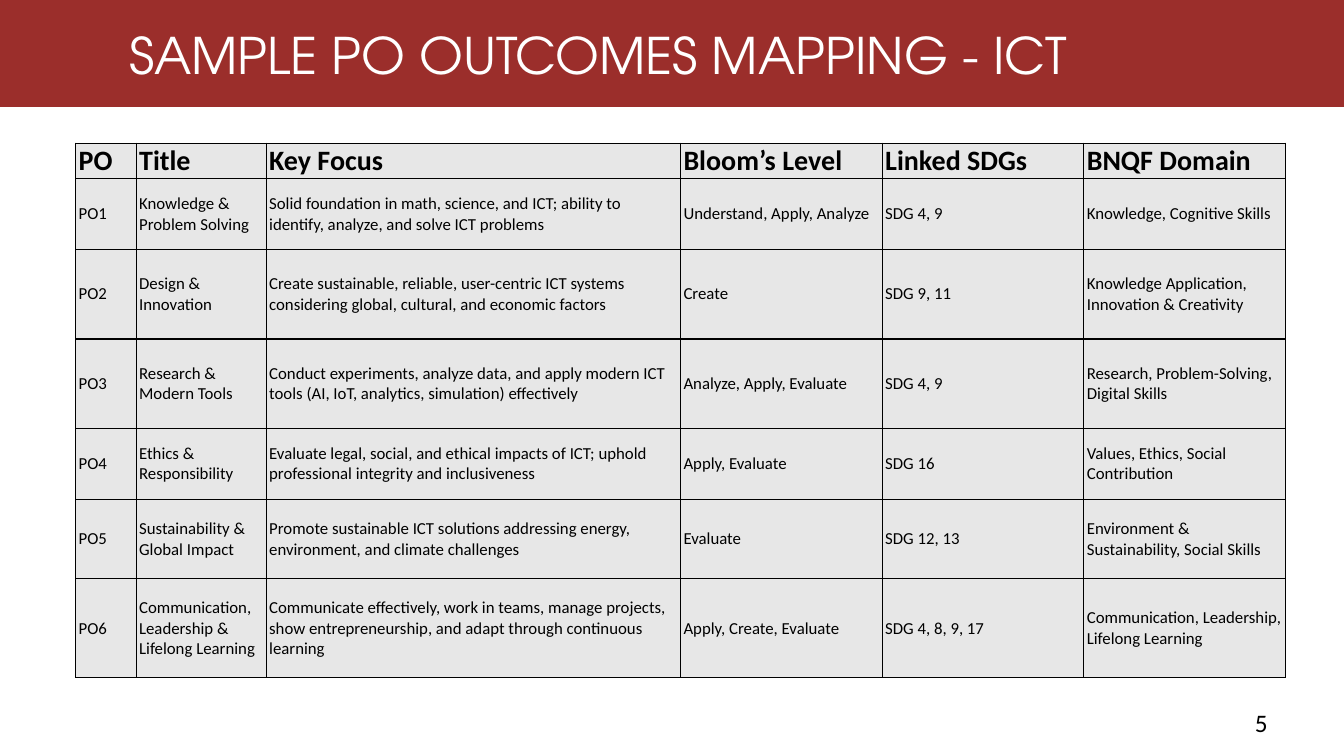
from lxml.etree import SubElement as Sub
from pptx import Presentation
from pptx.dml.color import RGBColor
from pptx.enum.shapes import MSO_SHAPE as Shape
from pptx.enum.text import MSO_ANCHOR as Anchor, MSO_AUTO_SIZE as Fit, PP_ALIGN as Align
from pptx.oxml.ns import qn
from pptx.util import Inches, Pt

RED = RGBColor(0x9B, 0x2E, 0x2B)
GREY = RGBColor(0xE7, 0xE7, 0xE7)
WHITE = RGBColor(0xFF, 0xFF, 0xFF)
BLACK = RGBColor(0, 0, 0)
WIDE, HIGH = 13.33, 7.5
BODY, HEAD = "Calibri", "TeX Gyre Adventor"

COLS = [0.6, 1.29, 4.11, 2, 2, 2]
ROWS = [0.23, 0.7, 0.89, 0.89, 0.7, 0.79, 0.98]
DATA = [
    ("PO", "Title", "Key Focus", "Bloom’s Level", "Linked SDGs", "BNQF Domain"),
    ("PO1", "Knowledge & Problem Solving",
     "Solid foundation in math, science, and ICT; ability to identify, analyze, "
     "and solve ICT problems",
     "Understand, Apply, Analyze", "SDG 4, 9", "Knowledge, Cognitive Skills"),
    ("PO2", "Design & Innovation",
     "Create sustainable, reliable, user-centric ICT systems considering global, "
     "cultural, and economic factors",
     "Create", "SDG 9, 11", "Knowledge Application, Innovation & Creativity"),
    ("PO3", "Research & Modern Tools",
     "Conduct experiments, analyze data, and apply modern ICT tools "
     "(AI, IoT, analytics, simulation) effectively",
     "Analyze, Apply, Evaluate", "SDG 4, 9", "Research, Problem-Solving, Digital Skills"),
    ("PO4", "Ethics & Responsibility",
     "Evaluate legal, social, and ethical impacts of ICT; uphold professional "
     "integrity and inclusiveness",
     "Apply, Evaluate", "SDG 16", "Values, Ethics, Social Contribution"),
    ("PO5", "Sustainability & Global Impact",
     "Promote sustainable ICT solutions addressing energy, environment, "
     "and climate challenges",
     "Evaluate", "SDG 12, 13", "Environment & Sustainability, Social Skills"),
    ("PO6", "Communication, Leadership & Lifelong Learning",
     "Communicate effectively, work in teams, manage projects, show entrepreneurship, "
     "and adapt through continuous learning",
     "Apply, Create, Evaluate", "SDG 4, 8, 9, 17",
     "Communication, Leadership, Lifelong Learning"),
]


def write(para, text, size, face=BODY, color=BLACK, bold=False):
    """Add one styled run to a paragraph."""
    run = para.add_run()
    run.text = text
    font = run.font
    font.size, font.name, font.bold = Pt(size), face, bold
    font.color.rgb = color


def edge(cell):
    """Draw a thin black border on all four sides of a cell."""
    props = cell._tc.get_or_add_tcPr()
    for at, side in enumerate(("lnL", "lnR", "lnT", "lnB")):
        line = props.makeelement(qn(f"a:{side}"), {"w": str(Pt(1))})
        fill = Sub(line, qn("a:solidFill"))
        Sub(fill, qn("a:srgbClr"), val=str(BLACK))
        props.insert(at, line)


def banner(slide, box, text):
    """Place the red band and the title inside it."""
    left, top, wide, high = box
    band = slide.shapes.add_shape(Shape.RECTANGLE, *map(Inches, box))
    band.shadow.inherit = False
    band.fill.solid()
    band.fill.fore_color.rgb = RED
    band.line.color.rgb = RED
    band.line.width = Pt(2)

    title = slide.shapes.title
    title.left, title.top = Inches(left + 1.18), Inches(top + 0.08)
    title.width, title.height = Inches(wide - 1.84), Inches(high - 0.23)
    band.element.addnext(title.element)
    frame = title.text_frame
    frame.auto_size, frame.word_wrap = Fit.NONE, True
    frame.vertical_anchor = Anchor.BOTTOM
    para = frame.paragraphs[0]
    para.alignment, para.line_spacing = Align.LEFT, 0.9
    write(para, text, 36, HEAD, WHITE)


def matrix(slide, box):
    """Fill the box with the outcomes table."""
    shape = slide.shapes.add_table(len(ROWS), len(COLS), *map(Inches, box))
    table = shape.table
    table.first_row = table.horz_banding = False
    for col, wide in zip(table.columns, COLS):
        col.width = Inches(wide)
    for r, (row, high) in enumerate(zip(table.rows, ROWS)):
        row.height = Inches(high)
        for cell, text in zip(row.cells, DATA[r]):
            cell.margin_left = cell.margin_right = Inches(0.03)
            cell.margin_top = cell.margin_bottom = Inches(0.01)
            cell.vertical_anchor = Anchor.MIDDLE
            cell.fill.solid()
            cell.fill.fore_color.rgb = GREY
            edge(cell)
            write(cell.text_frame.paragraphs[0], text, 12 if r else 20, bold=r == 0)


def number(slide, box, text):
    """Place the page number at the right of its box."""
    frame = slide.shapes.add_textbox(*map(Inches, box)).text_frame
    frame.word_wrap = True
    para = frame.paragraphs[0]
    para.alignment = Align.RIGHT
    write(para, text, 18)


def main():
    """Build and save the slide."""
    deck = Presentation()
    deck.slide_width, deck.slide_height = Inches(WIDE), Inches(HIGH)
    slide = deck.slides.add_slide(deck.slide_layouts[5])
    number(slide, (9.6, HIGH - 0.53, 3.07, 0.38), "5")
    matrix(slide, (0.75, 1.42, sum(COLS), sum(ROWS)))
    banner(slide, (0, -0.01, WIDE, 1.06), "SAMPLE PO OUTCOMES MAPPING - ICT")
    deck.save("out.pptx")


if __name__ == "__main__":
    main()
